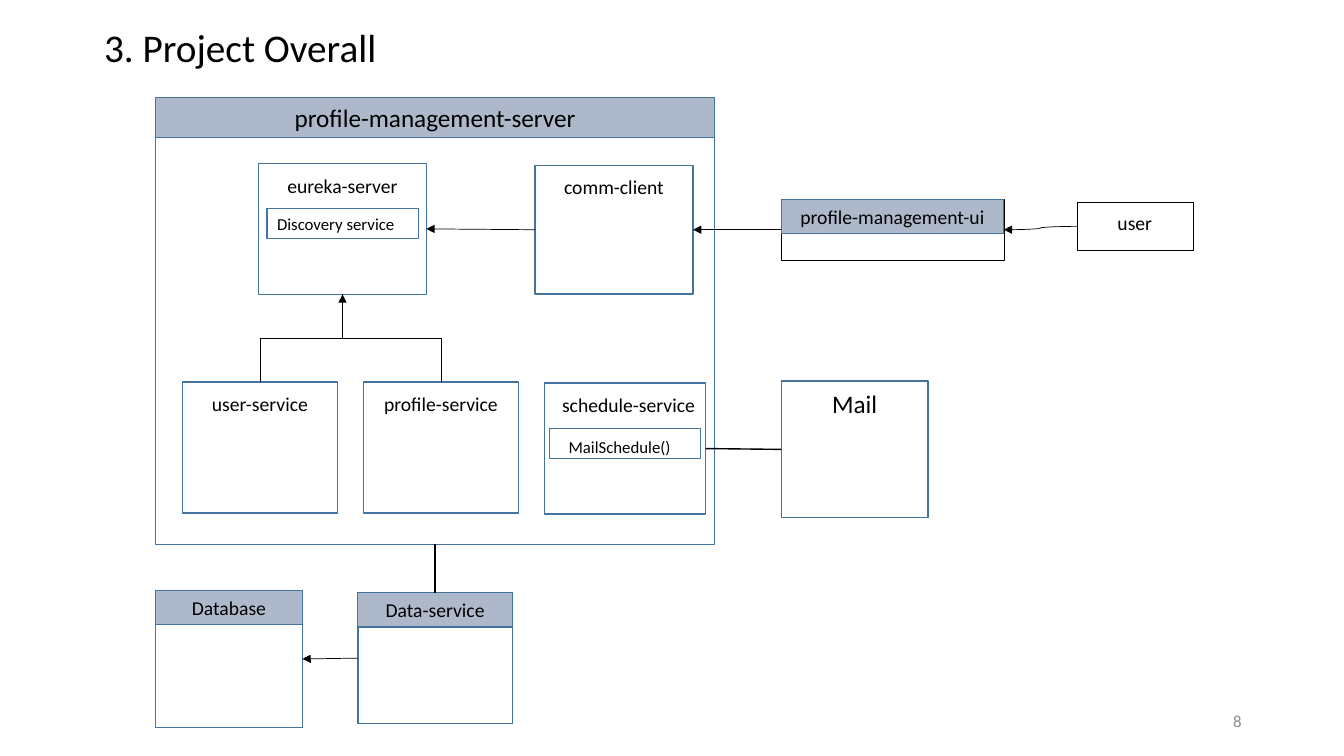
from lxml import etree
from pptx import Presentation
from pptx import util as u
from pptx.dml import color
from pptx.enum import shapes, text
from pptx.oxml import ns

COLORS = {
    "ink": "000000",
    "paper": "FFFFFF",
    "edge": "43739E",
    "bar": "ADB9CA",
    "muted": "8C8C8C",
}
TOP, LEFT, BOTTOM, RIGHT = range(4)
COLUMNS, ROWS = 160, 90


def rgb(name):
    return color.RGBColor.from_string(COLORS[name])


def write(shape, words, size=14, ink="ink", align="CENTER", anchor="TOP",
          top=0.05, left=0.1, spacing=None):
    frame = shape.text_frame
    frame.word_wrap = True
    frame.auto_size = text.MSO_AUTO_SIZE.NONE
    frame.vertical_anchor = getattr(text.MSO_ANCHOR, anchor)
    frame.margin_top, frame.margin_bottom = u.Inches(top), u.Inches(0.05)
    frame.margin_left, frame.margin_right = u.Inches(left), u.Inches(0.1)
    paragraph = frame.paragraphs[0]
    paragraph.text = words
    paragraph.alignment = getattr(text.PP_ALIGN, align)
    paragraph.line_spacing = spacing
    font = paragraph.font
    font.name, font.size = "Calibri", u.Pt(size)
    font.color.rgb = rgb(ink)


class Diagram:
    def __init__(self, presentation):
        self.cell_width = presentation.slide_width / COLUMNS
        self.cell_height = presentation.slide_height / ROWS
        self.slide = presentation.slides.add_slide(presentation.slide_layouts[5])

    def place(self, column, row, columns, rows):
        return (round(column * self.cell_width), round(row * self.cell_height),
                round(columns * self.cell_width), round(rows * self.cell_height))

    def title(self, at, words, **style):
        title = self.slide.shapes.title
        title.left, title.top, title.width, title.height = self.place(*at)
        write(title, words, **style)

    def label(self, at, words, **style):
        write(self.slide.shapes.add_textbox(*self.place(*at)), words, **style)

    def box(self, at, words="", fill="paper", line="edge", weight=1, **style):
        shape = self.slide.shapes.add_shape(
            shapes.MSO_SHAPE.RECTANGLE, *self.place(*at))
        shape.shadow.inherit = False
        shape.fill.solid()
        shape.fill.fore_color.rgb = rgb(fill)
        shape.line.color.rgb = rgb(line)
        shape.line.width = u.Pt(weight)
        if words:
            write(shape, words, **style)
        return shape

    def service(self, at, words, **style):
        return self.box(at, words, **{"top": 0.1, **style})

    def operation(self, at, words, **style):
        return self.box(at, words, size=12, align="LEFT", anchor="MIDDLE", **style)

    def panel(self, at, words, bar_rows=4.1, size=14, **style):
        panel = self.box(at, **style)
        self.box((*at[:3], bar_rows), words, fill="bar", weight=0.75, size=size)
        return panel

    def connect(self, start, start_side, end, end_side, kind="STRAIGHT",
                weight=0.5, arrow=None):
        connector = self.slide.shapes.add_connector(
            getattr(shapes.MSO_CONNECTOR, kind), 0, 0, 0, 0)
        connector.begin_connect(start, start_side)
        connector.end_connect(end, end_side)
        connector.line.color.rgb = rgb("ink")
        connector.line.width = u.Pt(weight)
        if arrow:
            etree.SubElement(connector.line._get_or_add_ln(),
                             ns.qn(f"a:{arrow}End"), type="triangle")
        properties = connector._element.spPr
        etree.SubElement(properties, ns.qn("a:effectLst"))
        if kind == "ELBOW":
            self.turn(connector, properties.find(ns.qn("a:xfrm")))

    def turn(self, connector, transform):
        width, height = connector.width, connector.height
        connector.left += (width - height) // 2
        connector.top += (height - width) // 2
        connector.width, connector.height = height, width
        transform.flipH = not transform.flipH
        transform.rot = 270 if transform.flipH else 90


def main():
    presentation = Presentation()
    presentation.slide_width = u.Inches(13.33)
    presentation.slide_height = u.Inches(7.5)
    diagram = Diagram(presentation)

    diagram.title((11.2, 2.8, 138, 7.2), "3. Project Overall", size=28,
                  align="LEFT", spacing=0.9)

    server = diagram.panel((18.5, 11.6, 66.6, 53.2), "profile-management-server",
                           bar_rows=4.8, size=18)
    interface = diagram.panel((93, 23.75, 26.5, 7.2), "profile-management-ui",
                              line="ink", weight=0.25)
    database = diagram.panel((18.5, 70.3, 17.5, 16.3), "Database")
    data_service = diagram.panel((42.6, 70.55, 18.4, 15.6), "Data-service")

    user = diagram.service((128.2, 24.1, 13.8, 5.7), "user", line="ink",
                           weight=0.25, top=0.08)
    client = diagram.service((63.7, 19.7, 18.8, 15.3), "comm-client", top=0.09)
    eureka = diagram.service((30.8, 19.45, 19.95, 15.6), "eureka-server")
    user_service, profile_service = (
        diagram.service((column, 45.5, 18.4, 15.6), words)
        for column, words in ((21.75, "user-service"), (43.3, "profile-service")))
    schedule = diagram.service((64.8, 45.6, 19.2, 15.6), "schedule-service",
                               left=0.17)
    mail = diagram.service((93, 45.35, 17.5, 16.3), "Mail", size=18, top=0.07)

    diagram.operation((31.8, 24.8, 18, 3.6), "Discovery service")
    diagram.operation((65.4, 51, 18, 3.6), "MailSchedule()", left=0.19, top=0.12)

    diagram.connect(user, LEFT, interface, RIGHT, kind="CURVE", arrow="tail")
    for start, end in ((client, eureka), (interface, client),
                       (data_service, database)):
        diagram.connect(start, LEFT, end, RIGHT, arrow="tail")
    diagram.connect(eureka, BOTTOM, profile_service, TOP, kind="ELBOW")
    diagram.connect(eureka, BOTTOM, user_service, TOP, kind="ELBOW", arrow="head")
    diagram.connect(mail, LEFT, schedule, RIGHT, weight=1)
    diagram.connect(data_service, TOP, server, BOTTOM, weight=1)

    diagram.label((113, 83.4, 36, 4.8), "8", size=12, ink="muted",
                  align="RIGHT", anchor="MIDDLE")
    presentation.save("out.pptx")


if __name__ == "__main__":
    main()
